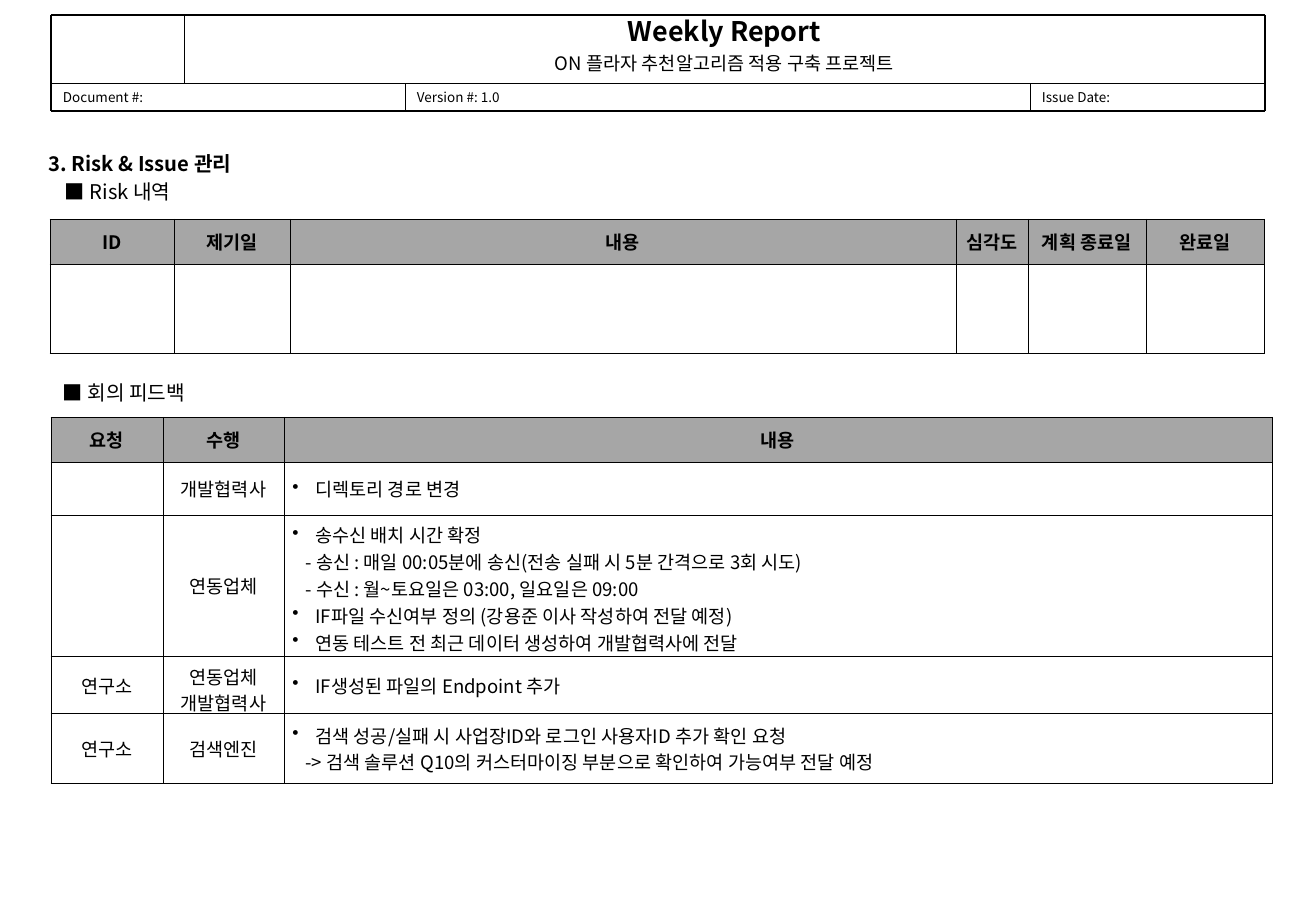
from lxml import etree
from pptx import Presentation, util as u
from pptx.dml.color import RGBColor
from pptx.enum import shapes, text
from pptx.oxml import ns

PX = 7532
FONT = "Noto Sans CJK KR"
HUES = {"ink": "000000", "head": "A6A6A6"}
ALIGN = {"l": text.PP_ALIGN.LEFT, "c": text.PP_ALIGN.CENTER, "j": text.PP_ALIGN.JUSTIFY}

LEFT, RIGHT, TOP, MID, LOW = 51, 1265, 15, 83, 111
LOGO, VER, DATE = 184, 405, 1030

TITLE = [("Weekly Report", 16, True), ("ON 플라자 추천알고리즘 적용 구축 프로젝트", 11, False)]
FIELDS = [
    ("Document #:", LEFT, VER),
    ("Version #: 1.0", VER, DATE),
    ("Issue Date:", DATE, RIGHT),
]
RULES = [
    (LOGO, TOP, LOGO, MID, 0.25),
    (VER, MID, VER, LOW, 0.25),
    (DATE, MID, DATE, LOW, 0.25),
    (LEFT, MID, RIGHT, MID, 0.25),
    (LEFT, TOP, LEFT, LOW, 1.5),
    (RIGHT, TOP, RIGHT, LOW, 1.5),
    (LEFT, TOP, RIGHT, TOP, 1.5),
    (LEFT, LOW, RIGHT, LOW, 1.5),
]
HEADS = [
    ("3. Risk & Issue 관리", 37, 145, 221, True),
    ("■ Risk 내역", 53, 173, 136, False),
    ("■ 회의 피드백", 51, 374, 200, False),
]
RISK = [["ID", "제기일", "내용", "심각도", "계획 종료일", "완료일"], [""] * 6]
NOTES = [
    ["요청", "수행", "내용"],
    ["", "개발협력사", "• 디렉토리 경로 변경"],
    ["", "연동업체", "• 송수신 배치 시간 확정\n"
     "- 송신 : 매일 00:05분에 송신(전송 실패 시 5분 간격으로 3회 시도)\n"
     "- 수신 : 월~토요일은 03:00, 일요일은 09:00\n"
     "• IF파일 수신여부 정의 (강용준 이사 작성하여 전달 예정)\n"
     "• 연동 테스트 전 최근 데이터 생성하여 개발협력사에 전달"],
    ["연구소", "연동업체\v개발협력사", "• IF생성된 파일의 Endpoint 추가"],
    ["연구소", "검색엔진", "• 검색 성공/실패 시 사업장ID와 로그인 사용자ID 추가 확인 요청\n"
     "-> 검색 솔루션 Q10의 커스터마이징 부분으로 확인하여 가능여부 전달 예정"],
]
GRIDS = [
    (RISK, 50, 219, [124, 116, 666, 72, 118, 119], [45, 89]),
    (NOTES, 51, 417, [112, 121, 988], [45, 53, 141, 57, 70]),
]


def px(*nums):
    return [u.Emu(n * PX) for n in nums]


def hue(name):
    return RGBColor.from_string(HUES[name])


def write(para, words, size, bold=False, align="l"):
    para.text = words
    para.alignment = ALIGN[align]
    font = para.font
    font.size, font.bold, font.name = u.Pt(size), bold, FONT
    font.color.rgb = hue("ink")
    base = para._p.pPr.find(ns.qn("a:defRPr"))
    base.set("kern", "0")
    etree.SubElement(base, ns.qn("a:ea"), typeface=FONT)


def bullet(para, mark):
    props = para._p.get_or_add_pPr()
    props.set("marL", str((23 if mark else 13) * PX))
    props.set("indent", str(-23 * PX if mark else 0))
    if mark:
        etree.SubElement(props, ns.qn("a:buChar"), char="•")


def box(slide, x, y, w, h, pad=0):
    frame = slide.shapes.add_textbox(*px(x, y, w, h)).text_frame
    frame.word_wrap = True
    frame.margin_left = frame.margin_right = u.Inches(0.1)
    frame.margin_top = frame.margin_bottom = u.Inches(pad)
    return frame


def rule(slide, x1, y1, x2, y2, width):
    line = slide.shapes.add_connector(shapes.MSO_CONNECTOR.STRAIGHT, *px(x1, y1, x2, y2))
    line.line.width = u.Pt(width)
    line.line.color.rgb = hue("ink")
    etree.SubElement(line._element.spPr, ns.qn("a:effectLst"))


def border(cell):
    props = cell._tc.get_or_add_tcPr()
    for spot, side in enumerate(("lnL", "lnR", "lnT", "lnB")):
        edge = etree.Element(ns.qn("a:" + side), w=str(u.Pt(0.45)))
        fill = etree.SubElement(edge, ns.qn("a:solidFill"))
        etree.SubElement(fill, ns.qn("a:srgbClr"), val=HUES["ink"])
        props.insert(spot, edge)


def fill_cell(cell, words, head, last):
    cell.vertical_anchor = text.MSO_ANCHOR.MIDDLE
    cell.margin_left = cell.margin_right = u.Inches(0.07)
    cell.margin_top = cell.margin_bottom = u.Inches(0.05)
    if head:
        cell.fill.solid()
        cell.fill.fore_color.rgb = hue("head")
    else:
        cell.fill.background()
    border(cell)
    frame = cell.text_frame
    for i, line in enumerate(words.split("\n")):
        para = frame.add_paragraph() if i else frame.paragraphs[0]
        item = last and not head and bool(line)
        if item:
            bullet(para, line.startswith("•"))
        write(para, line.removeprefix("• "), 11, head, "j" if item else "c")


def grid(slide, rows, x, y, wides, highs):
    place = px(x, y, sum(wides), sum(highs))
    table = slide.shapes.add_table(len(rows), len(wides), *place).table
    table.first_row = table.horz_banding = False
    for col, wide in zip(table.columns, wides):
        col.width = u.Emu(wide * PX)
    for r, row in enumerate(rows):
        table.rows[r].height = u.Emu(highs[r] * PX)
        for c, words in enumerate(row):
            fill_cell(table.cell(r, c), words, r == 0, c == len(row) - 1)


def main():
    deck = Presentation()
    deck.slide_width, deck.slide_height = u.Inches(10.84), u.Inches(7.5)
    slide = deck.slides.add_slide(deck.slide_layouts[6])

    frame = box(slide, LOGO, TOP, RIGHT - LOGO, MID - TOP)
    for i, (words, size, bold) in enumerate(TITLE):
        para = frame.add_paragraph() if i else frame.paragraphs[0]
        write(para, words, size, bold, "c")
    para.space_before = u.Pt(2.8)

    for words, x, end in FIELDS:
        frame = box(slide, x, MID, end - x, LOW - MID)
        frame.vertical_anchor = text.MSO_ANCHOR.MIDDLE
        write(frame.paragraphs[0], words, 8)
    for line in RULES:
        rule(slide, *line)
    for words, x, y, wide, bold in HEADS:
        frame = box(slide, x, y, wide, 36, 0.05)
        write(frame.paragraphs[0], words, 12, bold)
    for part in GRIDS:
        grid(slide, *part)
    deck.save("out.pptx")


if __name__ == "__main__":
    main()
